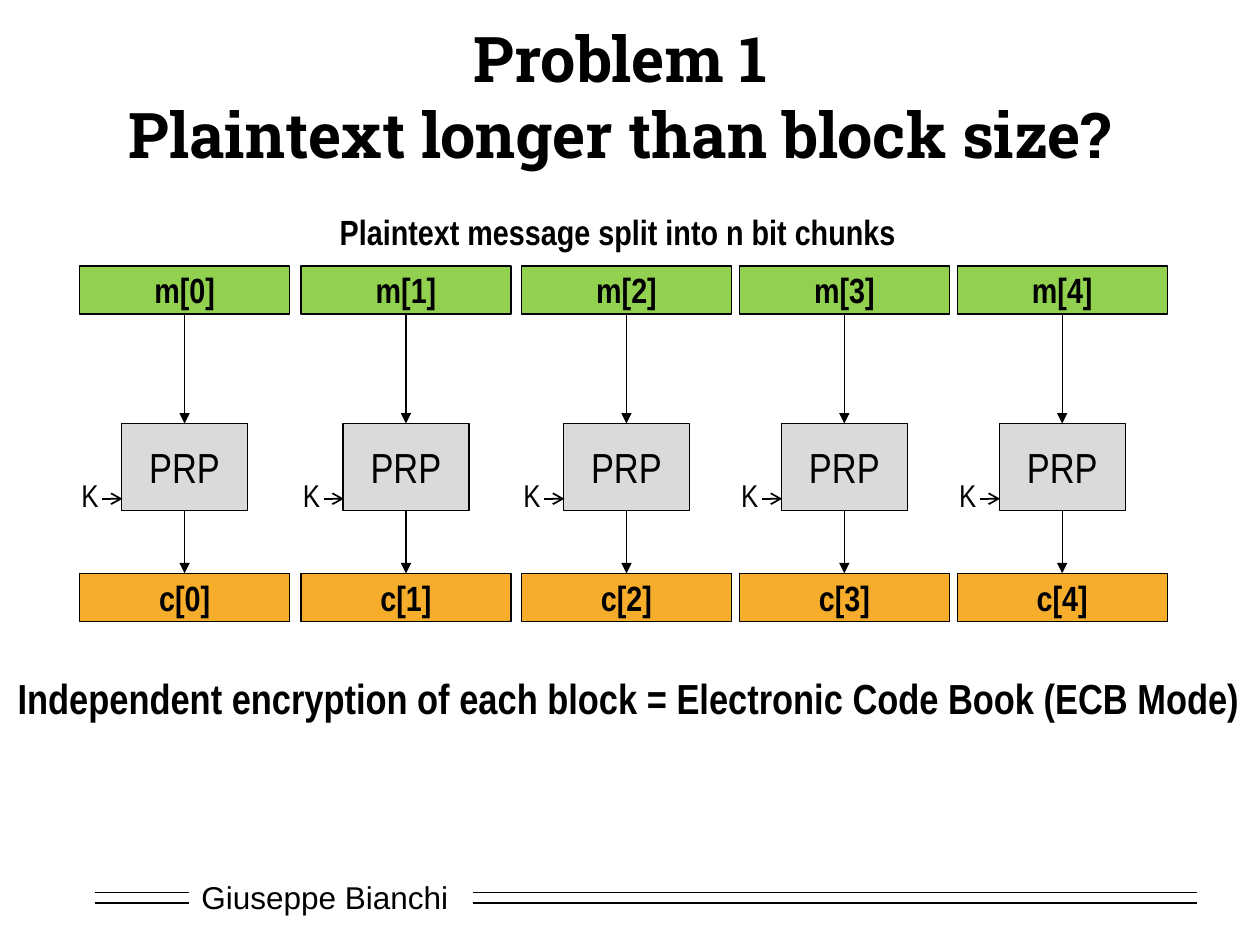
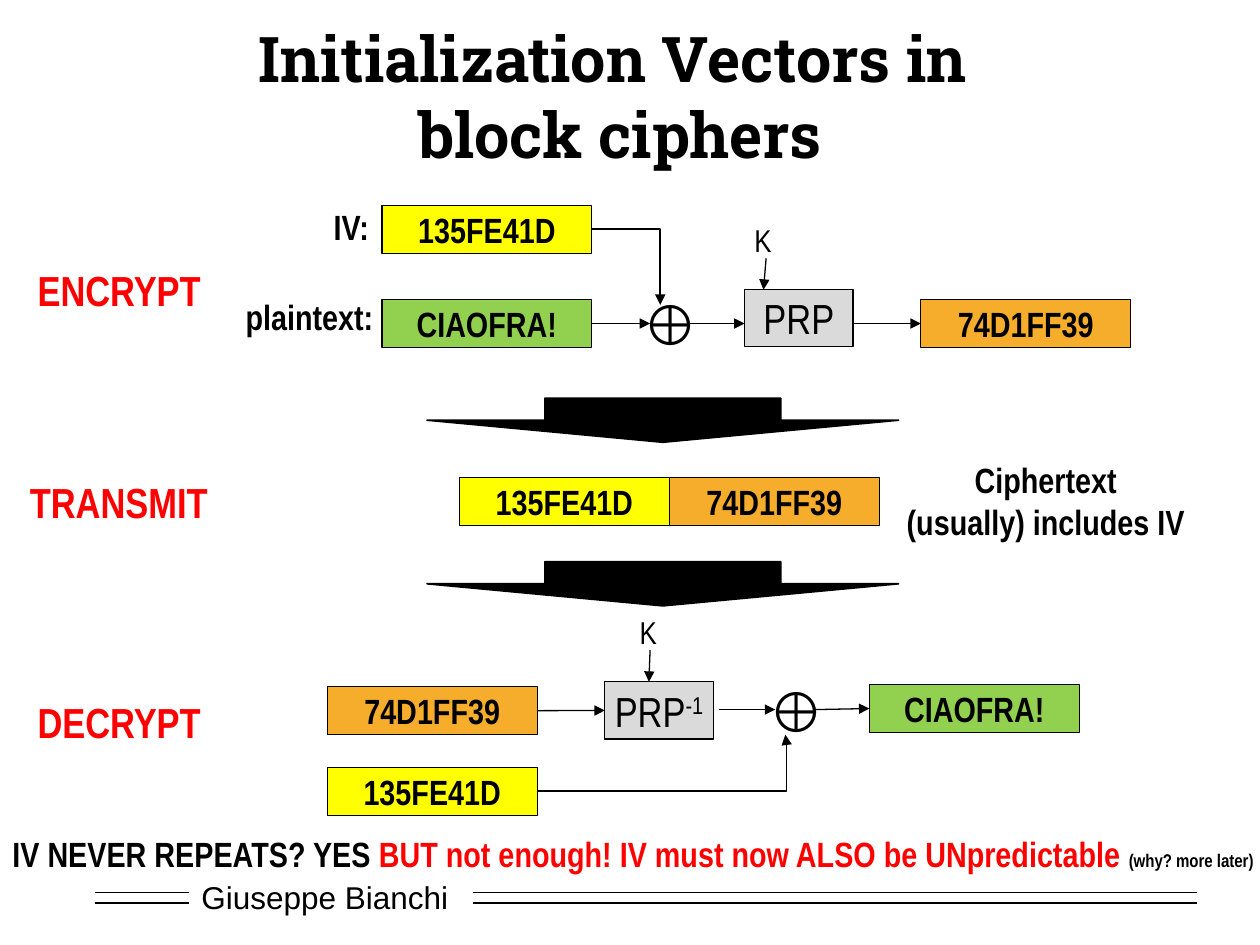
from lxml import etree
from pptx import Presentation
from pptx.dml.color import RGBColor
from pptx.enum.shapes import MSO_CONNECTOR, MSO_SHAPE
from pptx.enum.text import MSO_ANCHOR, MSO_AUTO_SIZE, PP_ALIGN
from pptx.oxml.ns import qn
from pptx.util import Pt

STRAIGHT, ELBOW = MSO_CONNECTOR.STRAIGHT, MSO_CONNECTOR.ELBOW
RECT, DOWN_ARROW = MSO_SHAPE.RECTANGLE, MSO_SHAPE.DOWN_ARROW
MIDDLE, FIT = MSO_ANCHOR.MIDDLE, MSO_AUTO_SIZE.SHAPE_TO_FIT_TEXT
LEFT, CENTER = PP_ALIGN.LEFT, PP_ALIGN.CENTER
TOP_SIDE, LEFT_SIDE, BOTTOM_SIDE, RIGHT_SIDE = range(4)

COLORS = {
    "black": "000000", "white": "FFFFFF", "red": "FF0000", "plain": "92D050",
    "cipher": "F5AD2B", "iv": "FFFF00", "prp": "DADADA",
}
TITLE = {"name": "Roboto Slab", "size": Pt(36), "bold": True}
FOOTER = {"name": "Arial", "size": Pt(18), "bold": False}
BLOCK = {"name": "Arial Narrow", "size": Pt(20), "bold": True}
HEADING = {**BLOCK, "size": Pt(24)}
PRP = {**HEADING, "bold": False}
KEY = {**PRP, "size": Pt(18)}
XOR = {**PRP, "size": Pt(32)}
NOTE = {**BLOCK, "size": Pt(10.5)}

BLOCK_W, BLOCK_H = 120, 27.4
COLUMN_LEFTS = [45.5, 172, 298, 422.5, 547]


def rgb(name):
    return RGBColor.from_string(COLORS[name])


def style(r, fmt, color="black"):
    for key, value in fmt.items():
        setattr(r.font, key, value)
    r.font.color.rgb = rgb(color)


def add_run(p, text, fmt, color="black"):
    r = p.add_run()
    r.text = text
    style(r, fmt, color)
    return r


def add_text(s, x, y, w, h, lines, fmt, color="black", align=LEFT, wrap=False):
    """Add a text box with one paragraph for each line."""
    tf = s.shapes.add_textbox(Pt(x), Pt(y), Pt(w), Pt(h)).text_frame
    tf.word_wrap = wrap
    tf.auto_size = FIT
    for i, line in enumerate(lines):
        p = tf.paragraphs[0] if i == 0 else tf.add_paragraph()
        p.alignment = align
        add_run(p, line, fmt, color)
    return tf


def add_preset(s, kind, x, y, w, h, fill, line_width=0.75):
    sp = s.shapes.add_shape(kind, Pt(x), Pt(y), Pt(w), Pt(h))
    sp.shadow.inherit = False
    sp.fill.solid()
    sp.fill.fore_color.rgb = rgb(fill)
    sp.line.color.rgb = rgb("black")
    sp.line.width = Pt(line_width)
    return sp


def add_box(s, x, y, w, h, text, fill, fmt):
    sp = add_preset(s, RECT, x, y, w, h, fill)
    tf = sp.text_frame
    tf.word_wrap = False
    tf.vertical_anchor = MIDDLE
    tf.paragraphs[0].alignment = CENTER
    add_run(tf.paragraphs[0], text, fmt)
    return sp


def add_block(s, x, y, text, fill):
    return add_box(s, x, y, BLOCK_W, BLOCK_H, text, fill, BLOCK)


def add_line(s, x1, y1, x2, y2, width=0.75, head=None, begin=None, end=None, kind=STRAIGHT):
    """Add a connector; begin and end are (shape, side) pairs to join it to."""
    cn = s.shapes.add_connector(kind, Pt(x1), Pt(y1), Pt(x2), Pt(y2))
    if begin:
        cn.begin_connect(*begin)
    if end:
        cn.end_connect(*end)
    cn.line.color.rgb = rgb("black")
    cn.line.width = Pt(width)
    if head:
        etree.SubElement(cn.line._get_or_add_ln(), qn("a:tailEnd"), type=head)
    etree.SubElement(cn._element.spPr, qn("a:effectLst"))
    return cn


def add_arrow(s, x1, y1, x2, y2, begin=None, end=None):
    return add_line(s, x1, y1, x2, y2, head="triangle", begin=begin, end=end)


def add_elbow(s, x1, y1, x2, y2, begin, preset, adj=None):
    cn = add_line(s, x1, y1, x2, y2, 1, "triangle", begin, kind=ELBOW)
    geom = cn._element.spPr.find(qn("a:prstGeom"))
    geom.set("prst", preset)
    if adj:
        guides = geom.find(qn("a:avLst"))
        etree.SubElement(guides, qn("a:gd"), name="adj1", fmla=f"val {adj}")


def add_key(s, x, y):
    add_text(s, x, y, 24.5, 29, ["K"], KEY)


def add_xor(s, x, y):
    add_text(s, x, y, 39.6, 46, ["⊕"], XOR)


def add_slide(prs, title):
    """Add a blank slide with the shared footer and title."""
    s = prs.slides.add_slide(prs.slide_layouts[6])
    s.background.fill.solid()
    s.background.fill.fore_color.rgb = rgb("white")
    add_text(s, 108, 498.2, 156.2, 29, ["Giuseppe Bianchi"], FOOTER, wrap=True)
    for y in (510, 516):
        for x1, x2 in ((54, 108), (270, 684)):
            add_line(s, x1, y, x2, y, 1)
    tf = s.shapes.add_textbox(Pt(20), Pt(28.8), Pt(669), Pt(51)).text_frame
    tf.word_wrap = True
    tf.vertical_anchor = MIDDLE
    p = tf.paragraphs[0]
    p.alignment = CENTER
    p.text = title
    for r in p.runs:
        style(r, TITLE)
    return s


def add_ecb_column(s, i, x):
    prp = add_box(s, x + 24, 242, 72, 49.6, "PRP", "prp", PRP)
    plain = add_block(s, x, 152, f"m[{i}]", "plain")
    cipher = add_block(s, x, 327.6, f"c[{i}]", "cipher")
    mid = x + BLOCK_W / 2
    add_arrow(s, mid, 179.4, mid, 242, (plain, BOTTOM_SIDE), (prp, TOP_SIDE))
    add_arrow(s, mid, 291.6, mid, 327.6, (prp, BOTTOM_SIDE), (cipher, TOP_SIDE))
    add_line(s, x + 13, 285, x + 24.5, 285, 1, "arrow")
    add_key(s, x - 6, 268.5)


def build_ecb_slide(prs):
    s = add_slide(prs, "Problem 1\nPlaintext longer than block size?")
    for i, x in enumerate(COLUMN_LEFTS):
        add_ecb_column(s, i, x)
    add_text(s, 187, 116.6, 334, 31.7, ["Plaintext message split into n bit chunks"], BLOCK)
    add_text(s, 3, 381, 720, 36,
             ["Independent encryption of each block = Electronic Code Book (ECB Mode)"], HEADING)


def add_encrypt_row(s):
    add_box(s, 425.5, 165.6, 62, 32.4, "PRP", "prp", PRP)
    plain = add_block(s, 218.2, 171.2, "CIAOFRA!", "plain")
    cipher = add_block(s, 526.2, 171.2, "74D1FF39", "cipher")
    iv = add_block(s, 218.2, 117.3, "135FE41D", "iv")
    add_key(s, 424, 123)
    add_xor(s, 360, 162)
    add_text(s, 183.6, 113.8, 34.6, 31.7, ["IV:"], BLOCK)
    add_text(s, 133.2, 165.6, 87.8, 31.7, ["plaintext:"], BLOCK)
    add_arrow(s, 339, 184.9, 371.5, 184.9, begin=(plain, RIGHT_SIDE))
    add_arrow(s, 437.8, 147.6, 436.3, 165.6)
    add_arrow(s, 393, 184.9, 425.5, 184.9)
    add_arrow(s, 488, 184.9, 526.2, 184.9, end=(cipher, LEFT_SIDE))
    add_elbow(s, 338.2, 131, 377.3, 174.2, (iv, RIGHT_SIDE), "bentConnector2")


def add_transmit_row(s):
    for y in (227.5, 321):
        add_preset(s, DOWN_ARROW, 244, y, 269.5, 25.2, "black", 1)
    add_block(s, 382.5, 272.9, "74D1FF39", "cipher")
    add_block(s, 262.5, 272.9, "135FE41D", "iv")
    add_text(s, 507.6, 258.5, 180, 55.4, ["Ciphertext", "(usually) includes IV"], BLOCK,
             align=CENTER)


def add_decrypt_row(s):
    prp = add_box(s, 345.6, 389.6, 62, 32.8, "PRP", "prp", PRP)
    power = add_run(prp.text_frame.paragraphs[0], "-1", PRP)
    power.font._element.set("baseline", "30000")
    cipher = add_block(s, 187, 392.4, "74D1FF39", "cipher")
    iv = add_block(s, 187, 438.5, "135FE41D", "iv")
    plain = add_block(s, 496.8, 391.2, "CIAOFRA!", "plain")
    add_key(s, 358.5, 347)
    add_xor(s, 432, 383)
    add_arrow(s, 371.5, 371.5, 370.8, 389.6)
    add_arrow(s, 309, 406, 345.6, 406, (cipher, RIGHT_SIDE), (prp, LEFT_SIDE))
    add_arrow(s, 411, 405.5, 443, 405.5)
    add_arrow(s, 465, 405.5, 496.8, 405.5, end=(plain, LEFT_SIDE))
    add_elbow(s, 307, 452.2, 448.8, 419.8, (iv, RIGHT_SIDE), "bentConnector3", 100500)


def build_iv_slide(prs):
    s = add_slide(prs, "Initialization Vectors in \nblock ciphers")
    for x, y, w, phase in ((14.4, 147.6, 108.7, "ENCRYPT"), (10, 268.6, 117.4, "TRANSMIT"),
                           (14.4, 394.6, 108.7, "DECRYPT")):
        add_text(s, x, y, w, 36, [phase], HEADING, "red")
    add_encrypt_row(s)
    add_transmit_row(s)
    add_decrypt_row(s)
    tf = add_text(s, 0, 472.3, 725.8, 31.7, ["IV NEVER REPEATS? YES "], BLOCK, wrap=True)
    p = tf.paragraphs[0]
    add_run(p, "BUT not enough! IV must now ALSO be UNpredictable ", BLOCK, "red")
    add_run(p, "(why? more later)", NOTE)


def main():
    prs = Presentation()
    prs.slide_width, prs.slide_height = Pt(720), Pt(540)
    build_ecb_slide(prs)
    build_iv_slide(prs)
    prs.save("out.pptx")


if __name__ == "__main__":
    main()
